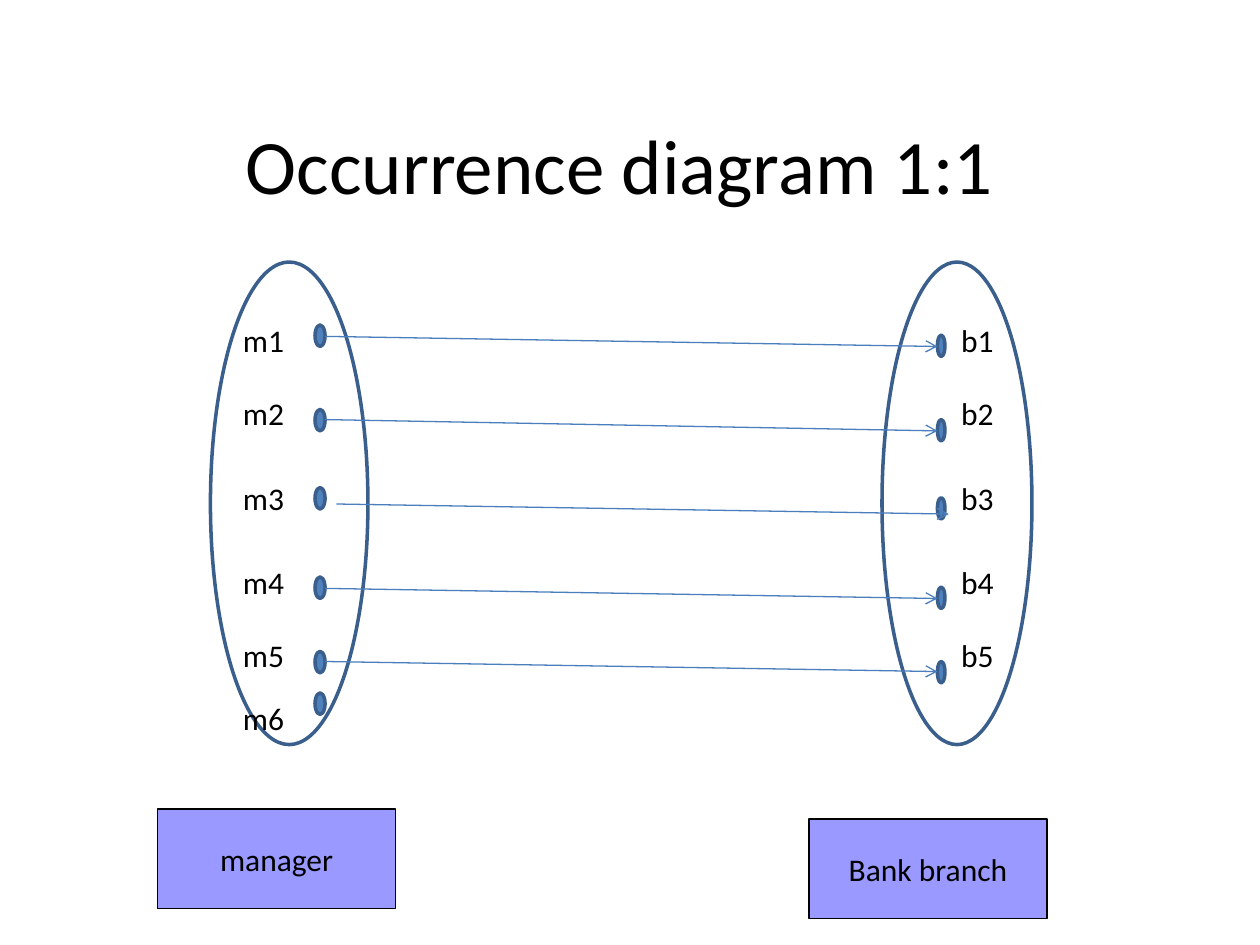
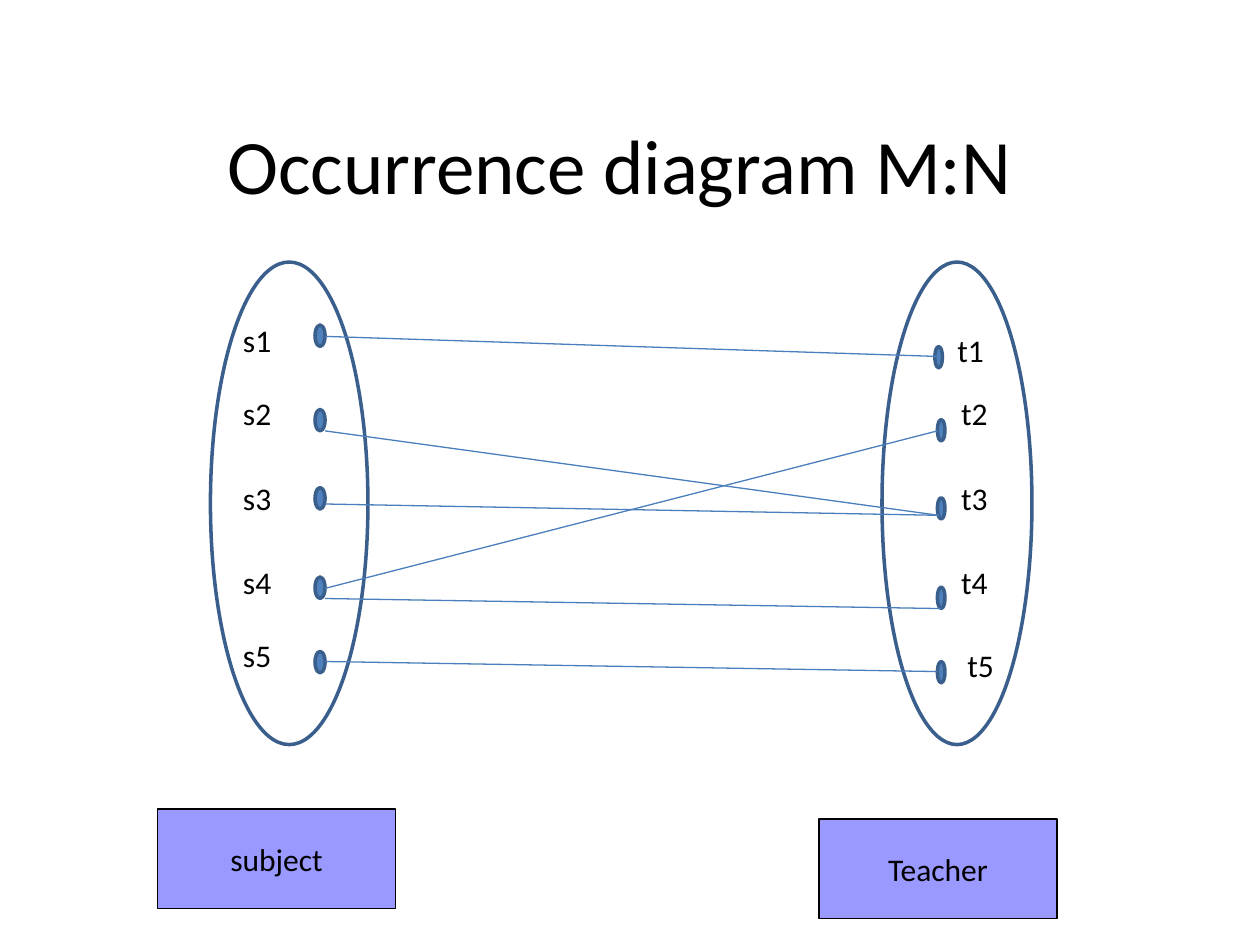
"""Builds two occurrence diagrams that link the members of two entity sets."""
from dataclasses import dataclass

import pptx
import pptx.dml.color
import pptx.enum.shapes
import pptx.enum.text
import pptx.oxml
import pptx.oxml.ns
import pptx.util
from pptx.util import Inches, Pt

RGBColor = pptx.dml.color.RGBColor
Shapes = pptx.enum.shapes.MSO_SHAPE
Align = pptx.enum.text.PP_ALIGN
Anchor = pptx.enum.text.MSO_ANCHOR

BLACK = RGBColor(0x00, 0x00, 0x00)
DOT_BLUE = RGBColor(0x4F, 0x81, 0xBD)
OUTLINE_BLUE = RGBColor(0x3A, 0x5F, 0x8C)
LINK_BLUE = RGBColor(0x4B, 0x7E, 0xBC)
ENTITY_LILAC = RGBColor(0x99, 0x99, 0xFF)
FONT = "Calibri"

LABEL_TOPS = (2.5, 3.08, 3.75, 4.42, 5.0, 5.5)
DOT_TOPS = (2.58, 3.25, 3.87, 4.58, 5.17, 5.5)
LABEL_HEIGHT = 0.4
DOT_HEIGHT = 0.17
LINK_START = 2.58
LINK_END = 7.44


@dataclass(frozen=True)
class Box:
    """A rectangle in inches."""
    left: float
    top: float
    width: float
    height: float

    def lengths(self) -> tuple:
        """Return the four sides as lengths."""
        return tuple(Inches(side) for side in (self.left, self.top, self.width, self.height))


@dataclass(frozen=True)
class Side:
    """The geometry of one entity set."""
    oval: Box
    label_left: float
    label_width: float
    dot_left: float
    dot_width: float
    dot_drop: float


@dataclass(frozen=True)
class Member:
    """One member of a set, with shifts from its regular place."""
    label: str
    row: int
    label_shift: tuple[float, float] = (0, 0)
    dot_shift: tuple[float, float] = (0, 0)


@dataclass(frozen=True)
class Entity:
    """An entity set with its name box and members."""
    name: str
    name_left: float
    name_top: float
    side: Side
    members: tuple[Member, ...]


@dataclass(frozen=True)
class Link:
    """A line between two members."""
    start_y: float
    end_y: float
    start_x: float = LINK_START
    end_x: float = LINK_END


@dataclass(frozen=True)
class Diagram:
    """The content of one slide."""
    title: str
    entities: tuple[Entity, ...]
    links: tuple[Link, ...]
    arrows: bool


LEFT = Side(Box(1.67, 2.08, 1.25, 3.83), 1.83, 0.58, 2.5, 0.08, 0)
RIGHT = Side(Box(7, 2.08, 1.19, 3.83), 7.53, 0.56, 7.44, 0.06, 0.08)


def regular_members(prefix: str, count: int) -> tuple[Member, ...]:
    """Return numbered members in their regular rows."""
    return tuple(Member(f"{prefix}{row + 1}", row) for row in range(count))


TEACHERS = (
    Member("t1", 0, (-0.03, 0.08), (-0.02, 0.09)),
    *regular_members("t", 4)[1:],
    Member("t5", 4, (0.05, 0.08)),
)

DIAGRAMS = (
    Diagram(
        "Occurrence diagram 1:1",
        (Entity("Bank branch", 6.42, 6.5, RIGHT, regular_members("b", 5)),
         Entity("manager", 1.25, 6.42, LEFT, regular_members("m", 6))),
        (Link(2.67, 2.75), Link(3.33, 3.42), Link(4, 4.08, 2.67, 7.53),
         Link(4.67, 4.75), Link(5.25, 5.33)),
        True,
    ),
    Diagram(
        "Occurrence diagram M:N",
        (Entity("Teacher", 6.5, 6.5, RIGHT, TEACHERS),
         Entity("subject", 1.25, 6.42, LEFT, regular_members("s", 5))),
        (Link(2.67, 2.83, end_x=7.47), Link(4.75, 4.83, end_x=7.47),
         Link(4.67, 3.42), Link(4, 4.09, end_x=7.45),
         Link(3.42, 4.09, end_x=7.45), Link(5.25, 5.33)),
        False,
    ),
)


def write(frame, text: str, size: int, align=Align.LEFT) -> None:
    """Put one styled paragraph in a text frame."""
    frame.text = text
    paragraph = frame.paragraphs[0]
    paragraph.alignment = align
    paragraph.font.name = FONT
    paragraph.font.size = Pt(size)
    paragraph.font.color.rgb = BLACK


def add_outlined(slide, kind, box: Box, fill: RGBColor | None, line: RGBColor, weight: float):
    """Draw a preset shape with an outline and an optional fill."""
    shape = slide.shapes.add_shape(kind, *box.lengths())
    shape.shadow.inherit = False
    if fill is None:
        shape.fill.background()
    else:
        shape.fill.solid()
        shape.fill.fore_color.rgb = fill
    shape.line.color.rgb = line
    shape.line.width = Pt(weight)
    return shape


def add_title(slide, text: str) -> None:
    """Draw the slide title."""
    frame = slide.shapes.add_textbox(*Box(0.42, 0.67, 9, 1.25).lengths()).text_frame
    frame.word_wrap = True
    frame.vertical_anchor = Anchor.MIDDLE
    write(frame, text, 44, Align.CENTER)


def add_member(slide, side: Side, member: Member) -> None:
    """Draw a member's dot and label."""
    dot_dx, dot_dy = member.dot_shift
    dot = Box(side.dot_left + dot_dx, DOT_TOPS[member.row] + side.dot_drop + dot_dy,
              side.dot_width, DOT_HEIGHT)
    add_outlined(slide, Shapes.OVAL, dot, DOT_BLUE, OUTLINE_BLUE, 2)
    label_dx, label_dy = member.label_shift
    label = Box(side.label_left + label_dx, LABEL_TOPS[member.row] + label_dy,
                side.label_width, LABEL_HEIGHT)
    frame = slide.shapes.add_textbox(*label.lengths()).text_frame
    frame.word_wrap = True
    frame.auto_size = pptx.enum.text.MSO_AUTO_SIZE.SHAPE_TO_FIT_TEXT
    write(frame, member.label, 18)


def add_entity(slide, entity: Entity) -> None:
    """Draw a set's oval, name box and members."""
    add_outlined(slide, Shapes.OVAL, entity.side.oval, None, OUTLINE_BLUE, 2)
    name_box = Box(entity.name_left, entity.name_top, 1.89, 0.79)
    frame = add_outlined(slide, Shapes.RECTANGLE, name_box, ENTITY_LILAC, BLACK, 0.75).text_frame
    frame.word_wrap = False
    frame.vertical_anchor = Anchor.MIDDLE
    write(frame, entity.name, 18, Align.CENTER)
    for member in entity.members:
        add_member(slide, entity.side, member)


def add_link(slide, link: Link, arrow: bool) -> None:
    """Draw a line between two members, with an arrowhead if asked."""
    ends = (Inches(place) for place in (link.start_x, link.start_y, link.end_x, link.end_y))
    connector = slide.shapes.add_connector(pptx.enum.shapes.MSO_CONNECTOR.STRAIGHT, *ends)
    connector.line.color.rgb = LINK_BLUE
    connector.line.width = Pt(0.75)
    properties = connector._element.spPr
    if arrow:
        head = pptx.oxml.parse_xml(f'<a:tailEnd {pptx.oxml.ns.nsdecls("a")} type="arrow"/>')
        connector.line._get_or_add_ln().append(head)
    properties.append(pptx.oxml.parse_xml(f'<a:effectLst {pptx.oxml.ns.nsdecls("a")}/>'))


def main() -> None:
    """Build and save the presentation."""
    presentation = pptx.Presentation()
    presentation.slide_width = Inches(10)
    presentation.slide_height = Inches(7.5)
    for diagram in DIAGRAMS:
        slide = presentation.slides.add_slide(presentation.slide_layouts[6])
        add_title(slide, diagram.title)
        for entity in diagram.entities:
            add_entity(slide, entity)
        for link in diagram.links:
            add_link(slide, link, diagram.arrows)
    presentation.save("out.pptx")


if __name__ == "__main__":
    main()
